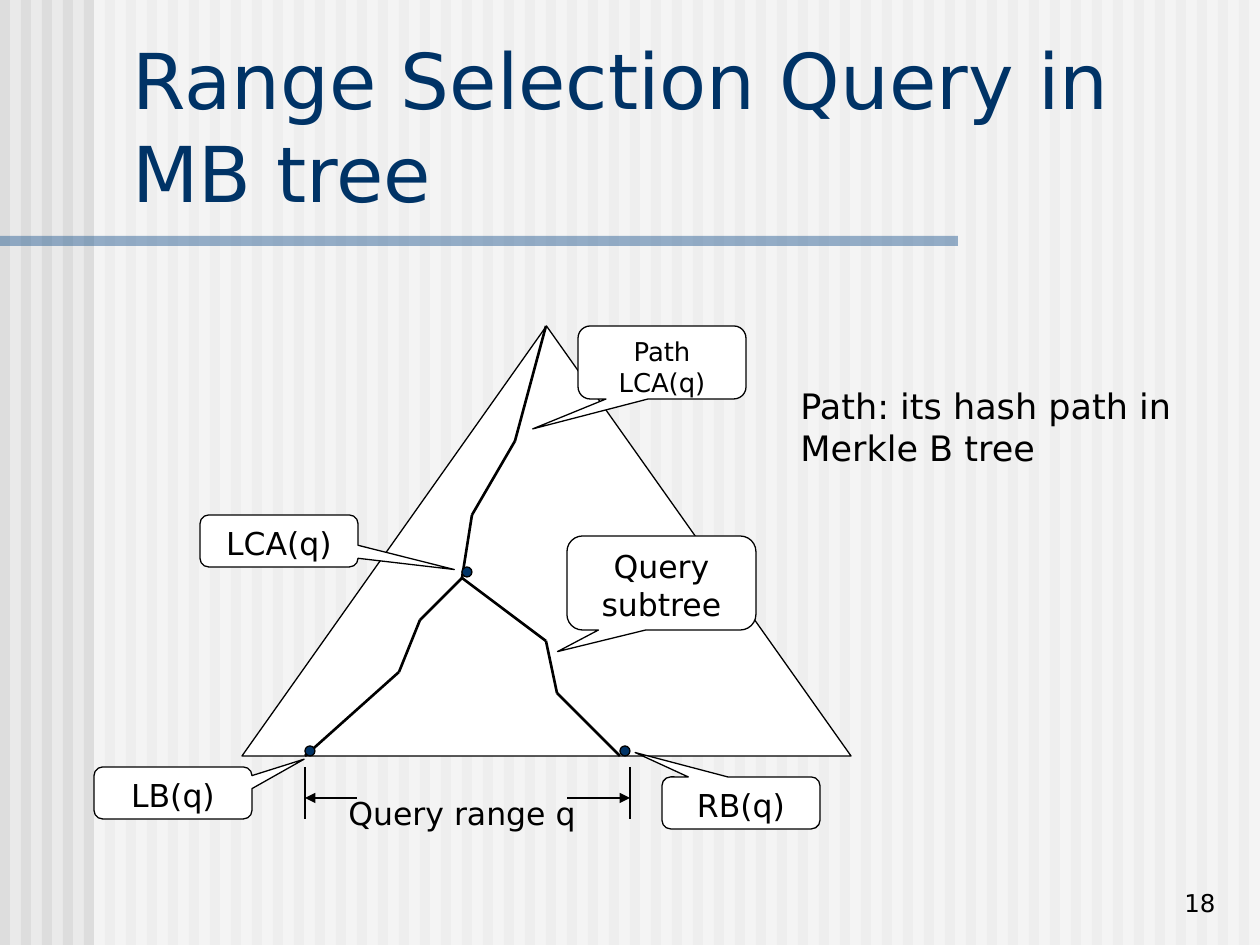
from dataclasses import dataclass
from itertools import pairwise

import pptx
import pptx.dml.color
import pptx.enum.shapes
import pptx.enum.text
import pptx.oxml
import pptx.oxml.ns
import pptx.util
from lxml import etree

EMU_PER_PX = 914400 / 126
FONT = "DejaVu Sans"
BLACK, WHITE, NAVY = "000000", "FFFFFF", "003366"
SHAPE = pptx.enum.shapes.MSO_SHAPE
ALIGN = pptx.enum.text.PP_ALIGN
ANCHOR = pptx.enum.text.MSO_ANCHOR

Point = tuple[int, int]
Rect = tuple[int, int, int, int]


@dataclass
class Callout:
    text: str
    rect: Rect
    pointer: tuple[float, float]
    size: float = 18


@dataclass
class Label:
    text: str
    rect: Rect
    size: float
    align: ALIGN = ALIGN.LEFT
    anchor: ANCHOR = ANCHOR.TOP


def px(length: int) -> int:
    return round(length * EMU_PER_PX)


def colour(value: str) -> pptx.dml.color.RGBColor:
    return pptx.dml.color.RGBColor.from_string(value)


def add_child(parent, tag: str, **attributes: str) -> None:
    child = etree.SubElement(parent, pptx.oxml.ns.qn(tag))
    for name, value in attributes.items():
        child.set(name, value)


def write(box, text: str, size: float, color: str = BLACK,
          align=ALIGN.LEFT, anchor=ANCHOR.TOP) -> None:
    frame = box.text_frame
    frame.word_wrap = True
    frame.auto_size = pptx.enum.text.MSO_AUTO_SIZE.NONE
    frame.vertical_anchor = anchor
    frame.text = text
    para = frame.paragraphs[0]
    para.alignment = align
    for span in para.runs:
        span.font.name = FONT
        span.font.size = pptx.util.Pt(size)
        span.font.color.rgb = colour(color)


def add_box(page, kind, rect: Rect, fill: str, outlined: bool = True, opacity: int = 100):
    box = page.shapes.add_shape(kind, *map(px, rect))
    box.shadow.inherit = False
    box.fill.solid()
    box.fill.fore_color.rgb = colour(fill)
    if opacity < 100:
        color_element = box.fill._xPr.find(".//" + pptx.oxml.ns.qn("a:srgbClr"))
        add_child(color_element, "a:alpha", val=str(opacity * 1000))
    if outlined:
        box.line.color.rgb = colour(BLACK)
        box.line.width = pptx.util.Pt(0.75)
    else:
        box.line.fill.background()
    return box


def add_line(page, start: Point, end: Point, width: float = 0.75, arrow: bool = False) -> None:
    line = page.shapes.add_connector(
        pptx.enum.shapes.MSO_CONNECTOR.STRAIGHT, *map(px, start + end))
    line.line.color.rgb = colour(BLACK)
    line.line.width = pptx.util.Pt(width)
    if arrow:
        add_child(line.line._get_or_add_ln(), "a:tailEnd", type="triangle")
    add_child(line._element.spPr, "a:effectLst")


def add_tree_path(page, points: list[Point]) -> None:
    for start, end in pairwise(points):
        add_line(page, start, end, width=1.5)


def add_callout(page, callout: Callout) -> None:
    box = add_box(page, SHAPE.ROUNDED_RECTANGULAR_CALLOUT, callout.rect, WHITE)
    box.adjustments[0], box.adjustments[1] = callout.pointer
    write(box, callout.text, callout.size, align=ALIGN.CENTER)


def add_label(page, label: Label) -> None:
    box = page.shapes.add_textbox(*map(px, label.rect))
    write(box, label.text, label.size, align=label.align, anchor=label.anchor)


LCA, APEX = (462, 578), (546, 326)
TREE_PATHS = [
    [(305, 756), (399, 672), (420, 620), LCA],
    [LCA, (546, 641), (557, 693), (620, 756)],
    [LCA, (472, 515), (515, 441), APEX],
]
NODES = [(305, 746), (620, 746), (462, 567)]
CALLOUTS = [
    Callout("LB(q)", (94, 767, 158, 52), (0.83, -0.65)),
    Callout("RB(q)", (662, 777, 158, 52), (-0.67, -0.97)),
    Callout("Query subtree", (567, 536, 189, 94), (-0.55, 0.73)),
    Callout("LCA(q)", (200, 515, 158, 52), (1.11, 0.55)),
    Callout("Path LCA(q)", (578, 326, 168, 73), (-0.77, 0.91), 14.8),
]
LABELS = [
    Label("Query range q", (336, 788, 294, 50), 18),
    Label("Path: its hash path in Merkle B tree", (788, 378, 430, 97), 20),
    Label("18", (1102, 861, 126, 63), 14, ALIGN.RIGHT, ANCHOR.BOTTOM),
]


def main() -> None:
    deck = pptx.Presentation()
    deck.slide_width, deck.slide_height = px(1260), px(945)
    page = deck.slides.add_slide(deck.slide_layouts[5])

    # Striped background, veil and title rule
    page.background.fill.solid()
    page.background.fill.fore_color.rgb = colour("EAEAEA")
    for left in range(0, 1260, 21):
        add_box(page, SHAPE.RECTANGLE, (left, 0, 10, 945), "DDDDDD", outlined=False)
    add_box(page, SHAPE.RECTANGLE, (94, 0, 1166, 945), WHITE, outlined=False, opacity=50)
    add_box(page, SHAPE.RECTANGLE, (0, 236, 958, 10), "336699", outlined=False, opacity=50)

    # Title, brought in front of the background
    title = page.shapes.title
    page.shapes._spTree.append(title._element)
    title.left, title.top, title.width, title.height = map(px, (120, 26, 1125, 198))
    write(title, "Range Selection Query in MB tree", 44, NAVY, anchor=ANCHOR.BOTTOM)

    # Tree with its paths
    add_box(page, SHAPE.ISOSCELES_TRIANGLE, (242, 326, 609, 430), WHITE)
    for points in TREE_PATHS:
        add_tree_path(page, points)

    # Query range dimension
    for edge, inner in ((305, 357), (630, 567)):
        add_line(page, (edge, 767), (edge, 819))
        add_line(page, (inner, 798), (edge, 798), arrow=True)

    # Nodes, callouts and text
    for left, top in NODES:
        add_box(page, SHAPE.OVAL, (left, top, 10, 10), NAVY)
    for callout in CALLOUTS:
        add_callout(page, callout)
    for label in LABELS:
        add_label(page, label)

    deck.save("out.pptx")


if __name__ == "__main__":
    main()
